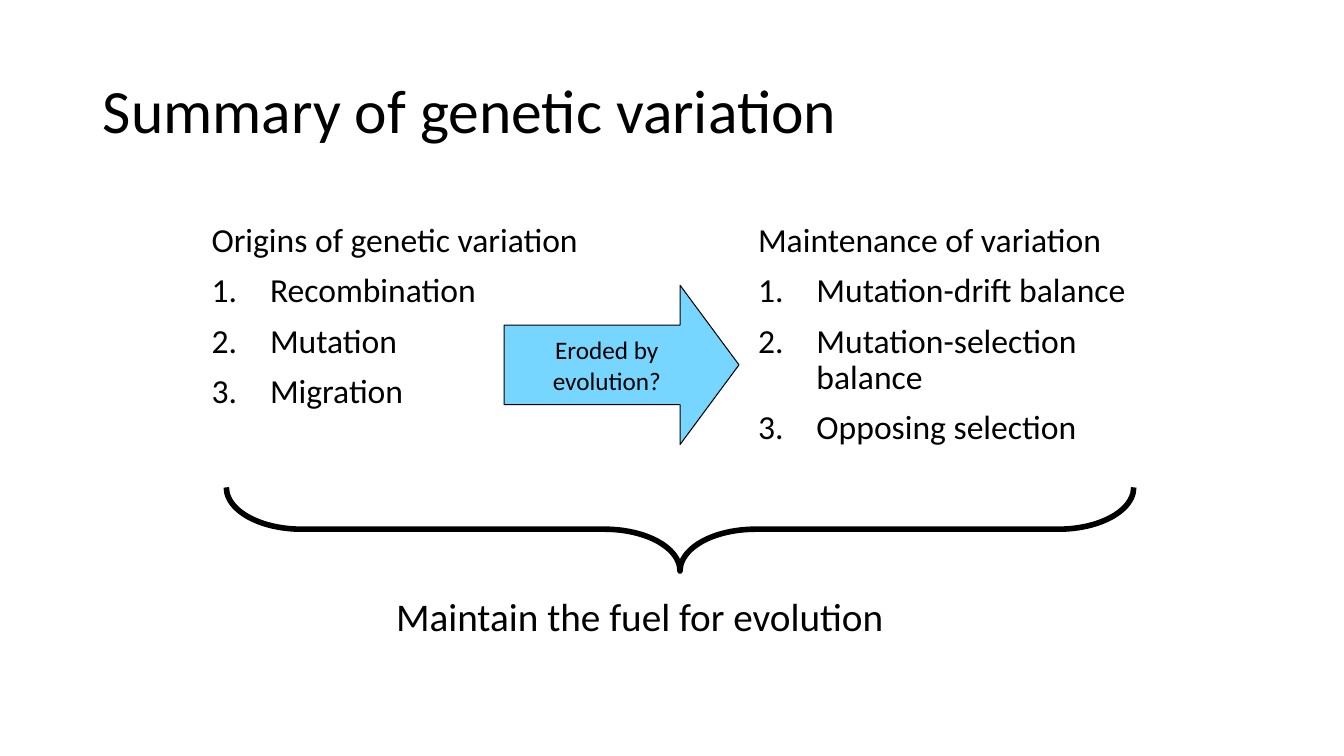
"""Builds the slide that sums up genetic variation."""
import pptx
import pptx.dml.color
import pptx.enum.shapes
import pptx.enum.text
import pptx.oxml
import pptx.oxml.ns
import pptx.util

Inches = pptx.util.Inches
Pt = pptx.util.Pt
RGBColor = pptx.dml.color.RGBColor
Shape = pptx.enum.shapes.MSO_SHAPE
Align = pptx.enum.text.PP_ALIGN
Anchor = pptx.enum.text.MSO_ANCHOR

BLACK = RGBColor(0x00, 0x00, 0x00)
SKY = RGBColor(0x76, 0xD6, 0xFF)
WHITE = RGBColor(0xFF, 0xFF, 0xFF)
NUMBERING = '<a:buAutoNum %s type="arabicPeriod"/>' % pptx.oxml.ns.nsdecls("a")


def write(paragraph, text, size, font="Calibri", color=BLACK, align=Align.LEFT,
          line_spacing=1.0, space_before=0, hanging=0, numbered=False):
    paragraph.text = text
    properties = paragraph._p.get_or_add_pPr()
    if hanging:
        properties.set("marL", str(Inches(hanging)))
        properties.set("indent", str(-Inches(hanging)))
    if numbered:
        properties.append(pptx.oxml.parse_xml(NUMBERING))
    paragraph.alignment = align
    paragraph.line_spacing = line_spacing
    paragraph.space_before = Pt(space_before)
    for run in paragraph.runs:
        run.font.name = font
        run.font.size = Pt(size)
        run.font.color.rgb = color


class SummarySlide:
    def __init__(self, presentation):
        self.slide = presentation.slides.add_slide(presentation.slide_layouts[5])
        self.slide.background.fill.solid()
        self.slide.background.fill.fore_color.rgb = WHITE

    def title(self, text, left, top, width, height):
        shape = self.slide.shapes.title
        shape.left, shape.top = Inches(left), Inches(top)
        shape.width, shape.height = Inches(width), Inches(height)
        shape.text_frame.vertical_anchor = Anchor.MIDDLE
        write(shape.text_frame.paragraphs[0], text, 44, line_spacing=0.9)

    def text_box(self, left, top, width, height):
        box = self.slide.shapes.add_textbox(
            Inches(left), Inches(top), Inches(width), Inches(height))
        box.text_frame.word_wrap = True
        return box.text_frame

    def numbered_list(self, heading, items, left, top, width, height):
        frame = self.text_box(left, top, width, height)
        write(frame.paragraphs[0], heading, 24, line_spacing=0.9, hanging=0.58)
        for item in items:
            write(frame.add_paragraph(), item, 24, line_spacing=0.9,
                  space_before=10, hanging=0.58, numbered=True)

    def label(self, text, size, left, top, width, height):
        write(self.text_box(left, top, width, height).paragraphs[0], text, size)

    def outline(self, kind, left, top, width, height, line_width, adjustments):
        shape = self.slide.shapes.add_shape(
            kind, Inches(left), Inches(top), Inches(width), Inches(height))
        shape.shadow.inherit = False
        shape.fill.background()
        shape.line.color.rgb = BLACK
        shape.line.width = Pt(line_width)
        for index, value in enumerate(adjustments):
            shape.adjustments[index] = value
        return shape

    def arrow(self, text, left, top, width, height):
        shape = self.outline(Shape.RIGHT_ARROW, left, top, width, height, 0.75, (0.5, 0.37))
        shape.fill.solid()
        shape.fill.fore_color.rgb = SKY
        shape.text_frame.word_wrap = False
        shape.text_frame.vertical_anchor = Anchor.MIDDLE
        write(shape.text_frame.paragraphs[0], text, 18, align=Align.CENTER)

    def brace(self, left, top, width, height):
        shape = self.outline(Shape.LEFT_BRACE, left, top, width, height, 4, (0.9, 0.5))
        shape.rotation = 270


def main():
    presentation = pptx.Presentation()
    presentation.slide_width = Inches(13.33)
    presentation.slide_height = Inches(7.5)
    summary = SummarySlide(presentation)
    summary.title("Summary of genetic variation", 0.92, 0.4, 11.5, 1.45)
    summary.numbered_list("Origins of genetic variation",
                          ("Recombination", "Mutation", "Migration"),
                          2, 2.17, 4.17, 4.5)
    summary.numbered_list("Maintenance of variation",
                          ("Mutation-drift balance", "Mutation-selection balance",
                           "Opposing selection"),
                          7.42, 2.17, 4.17, 4.5)
    summary.arrow("Eroded by\nevolution?", 5, 2.83, 2.33, 1.58)
    summary.brace(6.33, 0.75, 0.83, 9)
    summary.label("Maintain the fuel for evolution", 28, 3.83, 5.83, 5.75, 0.57)
    presentation.save("out.pptx")


if __name__ == "__main__":
    main()
